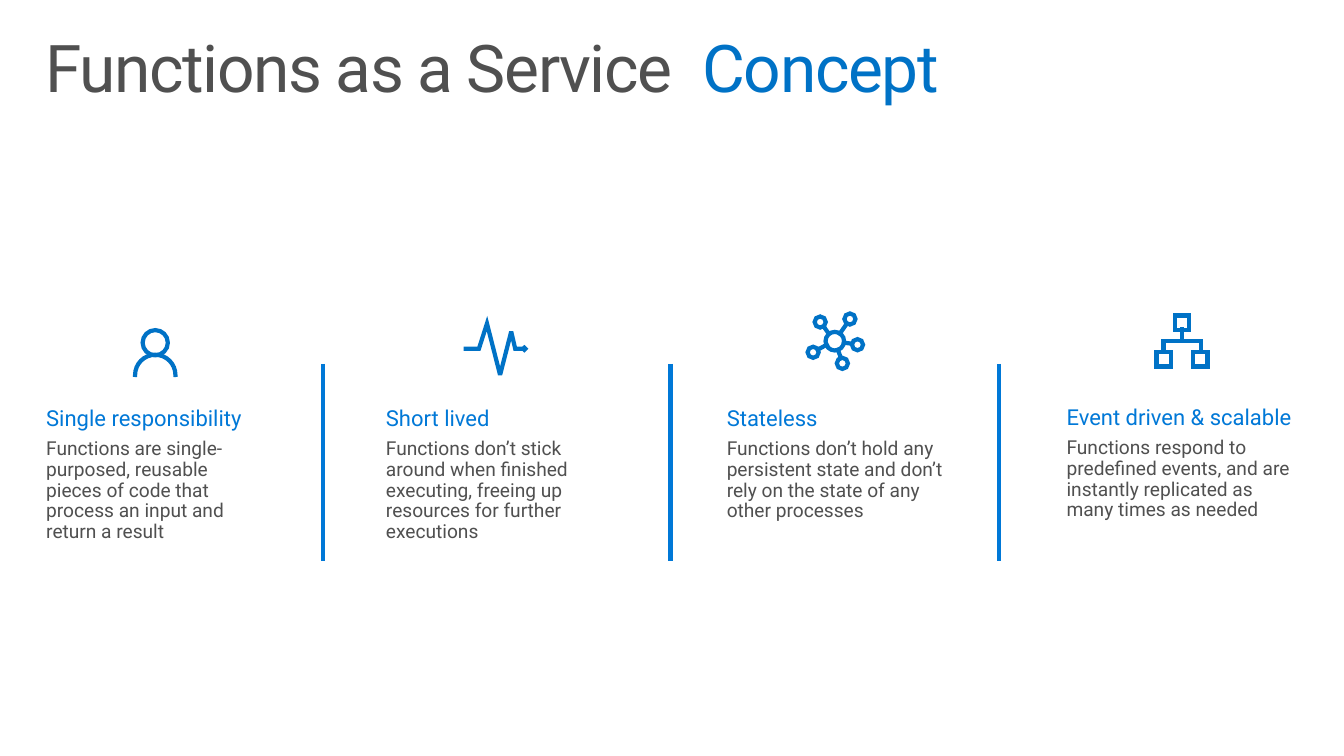
from dataclasses import dataclass
from math import cos, radians, sin

from lxml import etree
from pptx import Presentation
from pptx import util as u
from pptx.dml.color import RGBColor
from pptx.enum import shapes, text
from pptx.oxml.ns import qn


@dataclass(frozen=True)
class Theme:
    font: str = "Roboto"
    gray: RGBColor = RGBColor(0x50, 0x50, 0x50)
    icon_blue: RGBColor = RGBColor(0x00, 0x72, 0xC6)
    accent_blue: RGBColor = RGBColor(0x00, 0x78, 0xD7)
    title_size: float = 47
    heading_size: float = 15.7
    body_size: float = 13.7
    line_width: float = 3


@dataclass(frozen=True)
class Stroke:
    """Points in inches; in a curve, each three points after the first form a Bézier."""
    points: list
    curved: bool = False
    closed: bool = False


class SlideBuilder:
    def __init__(self, slide, theme):
        self.slide = slide
        self.theme = theme

    def format_run(self, run, size, color):
        run.font.name = self.theme.font
        run.font.size = u.Pt(size)
        run.font.color.rgb = color

    def text_frame(self, container, left, top, width, height):
        box = container.shapes.add_textbox(
            u.Inches(left), u.Inches(top), u.Inches(width), u.Inches(height))
        box.text_frame.word_wrap = True
        return box.text_frame

    def title(self, main, highlight):
        frame = self.text_frame(self.slide, 0.29, 0.25, 12.75, 0.98)
        frame.margin_left = frame.margin_right = u.Inches(0.16)
        frame.margin_top = frame.margin_bottom = u.Inches(0.1)
        paragraph = frame.paragraphs[0]
        paragraph.line_spacing = 0.9
        for words, color in ((main, self.theme.gray), (highlight, self.theme.icon_blue)):
            run = paragraph.add_run()
            run.text = words
            self.format_run(run, self.theme.title_size, color)
            run._r.get_or_add_rPr().set("spc", "-102")

    def feature(self, left, top, width, heading, body, strokes):
        group = self.slide.shapes.add_group_shape()
        frame = self.text_frame(group, left, top, width, 1.25)
        frame.auto_size = text.MSO_AUTO_SIZE.SHAPE_TO_FIT_TEXT
        frame.text = f"{heading}\n{body}"
        styles = ((self.theme.heading_size, self.theme.accent_blue, 5.9),
                  (self.theme.body_size, self.theme.gray, 2.9))
        for paragraph, (size, color, space_after) in zip(frame.paragraphs, styles):
            paragraph.line_spacing = 0.9
            paragraph.space_after = u.Pt(space_after)
            self.format_run(paragraph.runs[0], size, color)
        self.icon(group, strokes)

    def divider(self, x, top, bottom):
        line = self.slide.shapes.add_connector(
            shapes.MSO_CONNECTOR.STRAIGHT,
            u.Inches(x), u.Inches(top), u.Inches(x), u.Inches(bottom))
        line.line.color.rgb = self.theme.accent_blue
        line.line.width = u.Pt(self.theme.line_width)
        etree.SubElement(line._element.spPr, qn("a:effectLst"))

    def icon(self, group, strokes):
        outlines = [[(u.Inches(x), u.Inches(y)) for x, y in stroke.points]
                    for stroke in strokes]
        builder = group.shapes.build_freeform(*outlines[0][0])
        for index, (stroke, points) in enumerate(zip(strokes, outlines)):
            if index:
                builder.move_to(*points[0])
            builder.add_line_segments(points[1:], close=stroke.closed)
        shape = builder.convert_to_shape()
        shape.shadow.inherit = False
        shape.fill.background()
        shape.line.color.rgb = self.theme.icon_blue
        shape.line.width = u.Pt(self.theme.line_width)
        # Square ends and sharp corners
        outline = shape.line._get_or_add_ln()
        outline.set("cap", "sq")
        etree.SubElement(outline, qn("a:miter")).set("lim", "800000")
        self.bend_curves(shape, strokes)

    def bend_curves(self, shape, strokes):
        """Merge each three line segments of a curved stroke into one Bézier."""
        starts = list(shape._element.iter(qn("a:moveTo")))
        for stroke, start in zip(strokes, starts):
            if not stroke.curved:
                continue
            segments = list(start.itersiblings())[:len(stroke.points) - 1]
            for first in range(0, len(segments), 3):
                curve = etree.Element(qn("a:cubicBezTo"))
                segments[first].addprevious(curve)
                for segment in segments[first:first + 3]:
                    curve.append(segment[0])
                    segment.getparent().remove(segment)


def arc(x, y, radius, start=0, quarters=4):
    """Circular arc built from quarter turns."""
    handle = 0.5523 * radius
    points = [(x + radius * cos(radians(start)), y + radius * sin(radians(start)))]
    for quarter in range(quarters):
        angle = radians(start + 90 * quarter)
        along, across = cos(angle), sin(angle)
        points += [
            (x + radius * along - handle * across, y + radius * across + handle * along),
            (x - radius * across + handle * along, y + radius * along + handle * across),
            (x - radius * across, y + radius * along),
        ]
    return Stroke(points, curved=True, closed=quarters == 4)


def square(left, top, side=0.145):
    right, bottom = left + side, top + side
    return Stroke([(left, top), (right, top), (right, bottom), (left, bottom), (left, top)])


# Icon strokes
PERSON = [arc(1.54, 3.4, 0.125), arc(1.54, 3.72, 0.2, 180, 2)]
PULSE = [
    Stroke([(4.62, 3.46), (4.75, 3.46), (4.83, 3.21), (4.96, 3.72),
            (5.07, 3.29), (5.11, 3.46), (5.19, 3.46)]),
    Stroke([(5.19, 3.46), (5.2, 3.47), (5.21, 3.46), (5.2, 3.45)], closed=True),
]
NODES = [(8.43, 3.165), (8.135, 3.195), (8.065, 3.495), (8.355, 3.605), (8.505, 3.42)]
SPOKES = [
    [(8.4, 3.21), (8.33, 3.31)],
    [(8.22, 3.31), (8.17, 3.24)],
    [(8.11, 3.47), (8.2, 3.42)],
    [(8.34, 3.55), (8.31, 3.47)],
    [(8.37, 3.4), (8.45, 3.41)],
]
NETWORK = ([arc(8.28, 3.385, 0.092)] + [arc(x, y, 0.055) for x, y in NODES]
           + [Stroke(points) for points in SPOKES])
HIERARCHY = [
    square(11.47, 3.49), square(11.83, 3.49), square(11.65, 3.13),
    Stroke([(11.72, 3.27), (11.72, 3.38)]),
    Stroke([(11.91, 3.49), (11.91, 3.38), (11.54, 3.38), (11.54, 3.49)]),
]

FEATURES = [
    (0.36, 3.99, 2.35, "Single responsibility",
     "Functions are single-purposed, reusable pieces of code that process "
     "an input and return a result", PERSON),
    (3.73, 3.99, 2.57, "Short lived",
     "Functions don’t stick around when finished executing, freeing up "
     "resources for further executions", PULSE),
    (10.48, 3.98, 2.49, "Event driven & scalable",
     "Functions respond to predefined events, and are instantly replicated "
     "as many times as needed", HIERARCHY),
    (7.11, 3.99, 2.35, "Stateless",
     "Functions don’t hold any persistent state and don’t rely on the state "
     "of any other processes", NETWORK),
]


def main():
    presentation = Presentation()
    presentation.slide_width = u.Inches(13.33)
    presentation.slide_height = u.Inches(7.5)
    slide = presentation.slides.add_slide(presentation.slide_layouts[6])
    builder = SlideBuilder(slide, Theme())

    # Title
    builder.title("Functions as a Service ", " Concept")

    # Feature columns with their icons
    for feature in FEATURES:
        builder.feature(*feature)

    # Dividers between the columns
    for x in (3.2, 6.65, 9.91):
        builder.divider(x, 3.61, 5.57)

    presentation.save("out.pptx")


if __name__ == "__main__":
    main()
